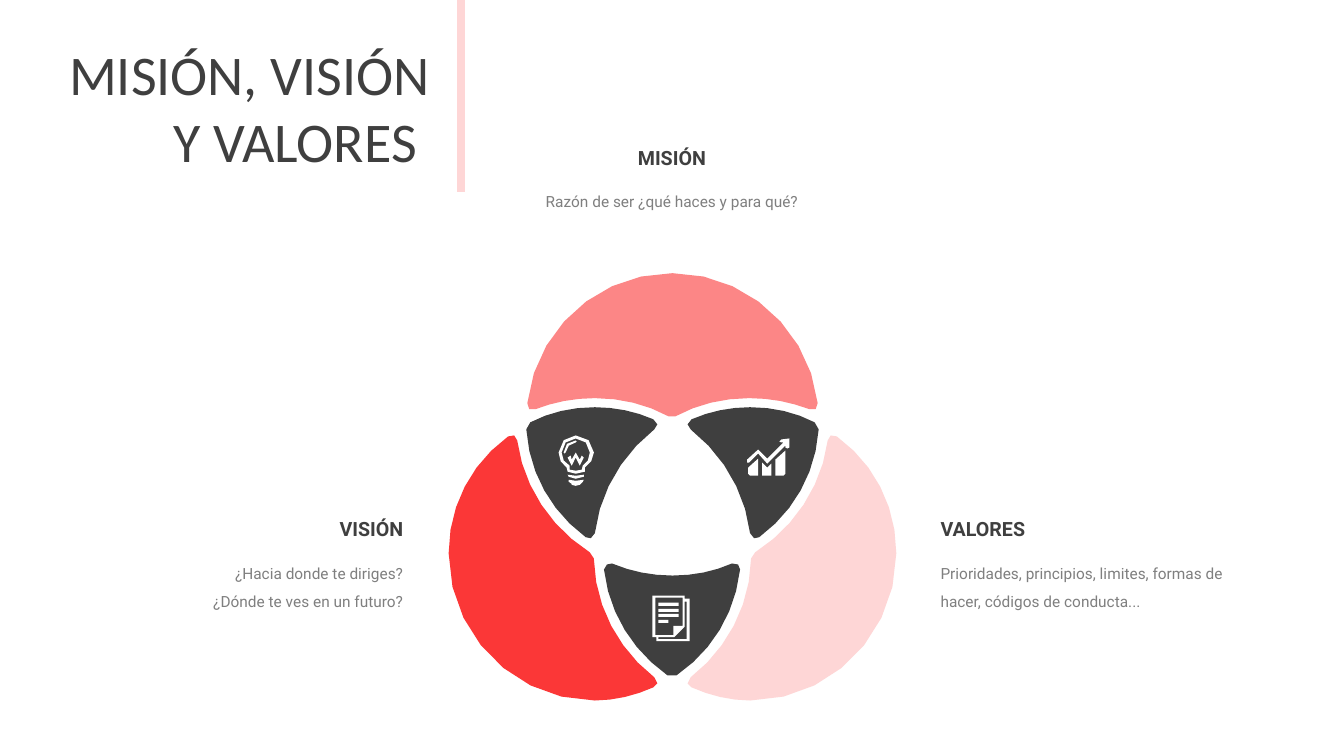
from math import dist, sqrt
from pptx import Presentation
from pptx.dml.color import RGBColor
from pptx.enum.shapes import MSO_CONNECTOR
from pptx.enum.text import MSO_ANCHOR, MSO_AUTO_SIZE, PP_ALIGN
from pptx.oxml.ns import qn
from pptx.util import Inches, Pt
from lxml import etree

LEFT, MID, RIGHT = PP_ALIGN.LEFT, PP_ALIGN.CENTER, PP_ALIGN.RIGHT
DARK, GRAY, WHITE = "3F3F3F", "7F7F7F", "FFFFFF"
RED, CORAL, PINK = "FB3737", "FC8686", "FED6D6"
AXIS = 6.67  # vertical line of symmetry

# Content: lines, box (left, top, width, height), alignment
TITLE = ["MISIÓN, VISIÓN", "Y VALORES "]
HEADS = [
    (["VALORES"], (9.23, 5.08, 2.35, 0.34), LEFT),
    (["VISIÓN"], (1.75, 5.08, 2.35, 0.34), RIGHT),
    (["MISIÓN"], (4.1, 1.4, 5.13, 0.34), MID),
]
NOTES = [
    (["Prioridades, principios, limites, formas de hacer, códigos de conducta..."],
     (9.23, 5.46, 3.32, 0.9), LEFT),
    (["¿Hacia donde te diriges?", "¿Dónde te ves en un futuro?"],
     (0.78, 5.46, 3.32, 0.9), RIGHT),
    (["Razón de ser ¿qué haces y para qué?"], (3.92, 1.77, 5.49, 0.63), MID),
]
HEAD_FONT = {"name": "Roboto", "size": Pt(14), "bold": True}
NOTE_FONT = {"name": "Roboto", "size": Pt(11), "bold": False}
TITLE_FONT = {"name": "Calibri", "size": Pt(40), "bold": False}

# Outlines: a pair is a corner, six numbers are a curve
TOP = [(6.67, 2.71), (7.41, 2.71, 8.03, 3.28, 8.11, 4),
       (8.11, 4.02, 8.1, 4.04, 8.09, 4.06), (8.07, 4.07, 8.05, 4.07, 8.03, 4.06),
       (7.84, 3.99, 7.65, 3.95, 7.43, 3.95), (7.17, 3.95, 6.92, 4.01, 6.7, 4.13),
       (6.68, 4.14, 6.65, 4.14, 6.63, 4.13), (6.41, 4.01, 6.16, 3.95, 5.9, 3.95),
       (5.69, 3.95, 5.49, 3.99, 5.31, 4.06), (5.28, 4.07, 5.26, 4.07, 5.25, 4.06),
       (5.23, 4.04, 5.22, 4.02, 5.23, 4), (5.31, 3.28, 5.92, 2.71, 6.67, 2.71)]
SIDE = [(5.9, 6.95), (5.1, 6.95, 4.45, 6.29, 4.45, 5.49),
        (4.45, 5.01, 4.68, 4.59, 5.04, 4.33), (5.06, 4.31, 5.08, 4.31, 5.1, 4.32),
        (5.11, 4.33, 5.13, 4.34, 5.13, 4.37), (5.19, 4.83, 5.47, 5.24, 5.85, 5.48),
        (5.87, 5.49, 5.89, 5.51, 5.89, 5.54), (5.9, 6.02, 6.14, 6.45, 6.49, 6.72),
        (6.51, 6.73, 6.52, 6.75, 6.52, 6.78), (6.51, 6.8, 6.5, 6.81, 6.48, 6.82),
        (6.3, 6.9, 6.1, 6.95, 5.9, 6.95)]
WEDGE = [(5.22, 4.26), (5.22, 4.23, 5.23, 4.2, 5.26, 4.19),
         (5.45, 4.09, 5.67, 4.04, 5.9, 4.04), (6.1, 4.04, 6.3, 4.08, 6.48, 4.16),
         (6.5, 4.17, 6.51, 4.19, 6.52, 4.21), (6.52, 4.23, 6.51, 4.25, 6.49, 4.26),
         (6.17, 4.51, 5.95, 4.88, 5.9, 5.29), (5.9, 5.31, 5.88, 5.33, 5.86, 5.34),
         (5.84, 5.34, 5.82, 5.34, 5.81, 5.33), (5.47, 5.08, 5.25, 4.7, 5.22, 4.26)]
BASE = [(7.26, 5.59), (7.28, 5.58, 7.3, 5.59, 7.32, 5.6),
        (7.33, 5.61, 7.34, 5.63, 7.34, 5.65), (7.29, 6.09, 7.06, 6.46, 6.71, 6.7),
        (6.68, 6.71, 6.65, 6.71, 6.62, 6.7), (6.28, 6.46, 6.04, 6.09, 5.99, 5.65),
        (5.99, 5.63, 6, 5.61, 6.02, 5.6), (6.03, 5.59, 6.06, 5.58, 6.07, 5.59),
        (6.26, 5.67, 6.46, 5.71, 6.67, 5.71), (6.88, 5.71, 7.08, 5.67, 7.26, 5.59)]
GRAPH = [
    [(7.42, 4.64), (7.52, 4.55), (7.52, 4.72), (7.44, 4.72), (7.42, 4.7)],
    [(7.56, 4.59), (7.61, 4.64), (7.65, 4.6), (7.65, 4.72), (7.56, 4.72)],
    [(7.69, 4.56), (7.79, 4.47), (7.79, 4.7), (7.77, 4.72), (7.69, 4.72)],
    [(7.75, 4.36), (7.73, 4.38), (7.75, 4.39), (7.77, 4.39), (7.61, 4.55),
     (7.52, 4.46), (7.41, 4.56), (7.41, 4.59), (7.43, 4.59), (7.52, 4.5),
     (7.61, 4.6), (7.79, 4.42), (7.79, 4.44), (7.81, 4.45), (7.83, 4.44), (7.83, 4.35)],
]
PAGE = [
    [(6.79, 5.94), (6.79, 5.91), (6.47, 5.91), (6.47, 6.32), (6.51, 6.32),
     (6.51, 6.36), (6.84, 6.36), (6.84, 5.94)],
    [(6.5, 6.3), (6.5, 5.93), (6.77, 5.93), (6.77, 6.21), (6.68, 6.21), (6.68, 6.3)],
    [(6.81, 6.34), (6.53, 6.34), (6.53, 6.32), (6.69, 6.32), (6.79, 6.22),
     (6.79, 5.97), (6.81, 5.97)],
]
for y, end in [(5.98, 6.73), (6.04, 6.73), (6.09, 6.73), (6.15, 6.63)]:
    PAGE.append([(6.53, y), (end, y), (end, y + 0.03), (6.53, y + 0.03)])
BULB = [
    [(5.71, 4.39), (5.72, 4.38), (5.71, 4.37), (5.64, 4.37, 5.59, 4.42, 5.59, 4.49),
     (5.6, 4.5), (5.61, 4.49), (5.61, 4.44, 5.66, 4.39, 5.71, 4.39)],
    [(5.64, 4.76), (5.64, 4.78), (5.67, 4.8), (5.67, 4.81), (5.71, 4.82),
     (5.75, 4.81), (5.76, 4.8), (5.78, 4.78), (5.79, 4.76), (5.71, 4.77)],
    [(5.63, 4.71), (5.64, 4.73), (5.71, 4.75), (5.79, 4.73), (5.79, 4.71), (5.71, 4.72)],
    [(5.71, 4.32), (5.62, 4.32, 5.54, 4.39, 5.54, 4.49),
     (5.54, 4.55, 5.57, 4.61, 5.62, 4.64), (5.63, 4.68), (5.71, 4.7), (5.8, 4.68),
     (5.8, 4.64), (5.85, 4.61, 5.89, 4.55, 5.89, 4.49),
     (5.89, 4.39, 5.81, 4.32, 5.71, 4.32)],
    [(5.78, 4.62), (5.77, 4.66), (5.71, 4.67), (5.65, 4.66), (5.65, 4.62),
     (5.6, 4.6, 5.57, 4.55, 5.57, 4.49), (5.57, 4.41, 5.63, 4.35, 5.71, 4.35),
     (5.79, 4.35, 5.85, 4.41, 5.85, 4.49), (5.85, 4.55, 5.82, 4.6, 5.78, 4.62)],
    [(5.75, 4.56), (5.71, 4.49), (5.67, 4.56), (5.66, 4.52), (5.63, 4.54),
     (5.67, 4.62), (5.71, 4.54), (5.75, 4.62), (5.79, 4.54), (5.77, 4.52)],
]


def color(code):
    return RGBColor.from_string(code)


def flip(loop):
    return [tuple(v if i % 2 else 2 * AXIS - v for i, v in enumerate(step))
            for step in loop]


def trace(loop):
    """Turn corners and curves into points, more of them on long curves."""
    pts = []
    for step in loop:
        if len(step) == 2:
            pts.append(step)
            continue
        a, b, c, d = pts[-1], step[:2], step[2:4], step[4:]
        count = max(1, round(5 * sqrt(dist(a, d))))
        for n in range(1, count + 1):
            t = n / count
            u = 1 - t
            pts.append(tuple(u**3 * a[i] + 3 * u * u * t * b[i]
                             + 3 * u * t * t * c[i] + t**3 * d[i] for i in (0, 1)))
    return [(Inches(x), Inches(y)) for x, y in pts]


def draw(loops, fill):
    paths = [trace(loop) for loop in loops]
    pen = slide.shapes.build_freeform(*paths[0][0])
    for i, pts in enumerate(paths):
        if i:
            pen.move_to(*pts[0])
        pen.add_line_segments(pts[1:], close=True)
    shape = pen.convert_to_shape()
    shape.shadow.inherit = False
    shape.fill.solid()
    shape.fill.fore_color.rgb = color(fill)
    shape.line.fill.background()


def write(shape, lines, align, font, tint, space=1.0):
    frame = shape.text_frame
    frame.word_wrap = True
    frame.auto_size = MSO_AUTO_SIZE.NONE
    for i, line in enumerate(lines):
        para = frame.add_paragraph() if i else frame.paragraphs[0]
        para.alignment, para.line_spacing = align, space
        run = para.add_run()
        run.text = line
        run.font.color.rgb = color(tint)
        for key, val in font.items():
            setattr(run.font, key, val)


deck = Presentation()
deck.slide_width, deck.slide_height = Inches(13.33), Inches(7.5)
slide = deck.slides.add_slide(deck.slide_layouts[5])

# Petals, wedges and icons
for loops, fill in [([TOP], CORAL), ([SIDE], RED), ([flip(SIDE)], PINK),
                    ([flip(WEDGE)], DARK), ([WEDGE], DARK), ([BASE], DARK),
                    (GRAPH, WHITE), (PAGE, WHITE), (BULB, WHITE)]:
    draw(loops, fill)

# Captions
for group, font, tint, space in [(NOTES, NOTE_FONT, GRAY, 1.5),
                                 (HEADS, HEAD_FONT, DARK, 1.0)]:
    for lines, box, align in group:
        area = slide.shapes.add_textbox(*map(Inches, box))
        write(area, lines, align, font, tint, space)

# Title and its rule
title = slide.shapes.title
title.left, title.top, title.width, title.height = map(Inches, (0, 0, 4.36, 2.12))
write(title, TITLE, RIGHT, TITLE_FONT, DARK)
title.text_frame.vertical_anchor = MSO_ANCHOR.MIDDLE
rule = slide.shapes.add_connector(MSO_CONNECTOR.STRAIGHT, *map(Inches, (4.57, 0, 4.57, 1.9)))
rule.line.color.rgb = color(PINK)
rule.line.width = Pt(6)
etree.SubElement(rule._element.spPr, qn("a:effectLst"))

deck.save("out.pptx")
